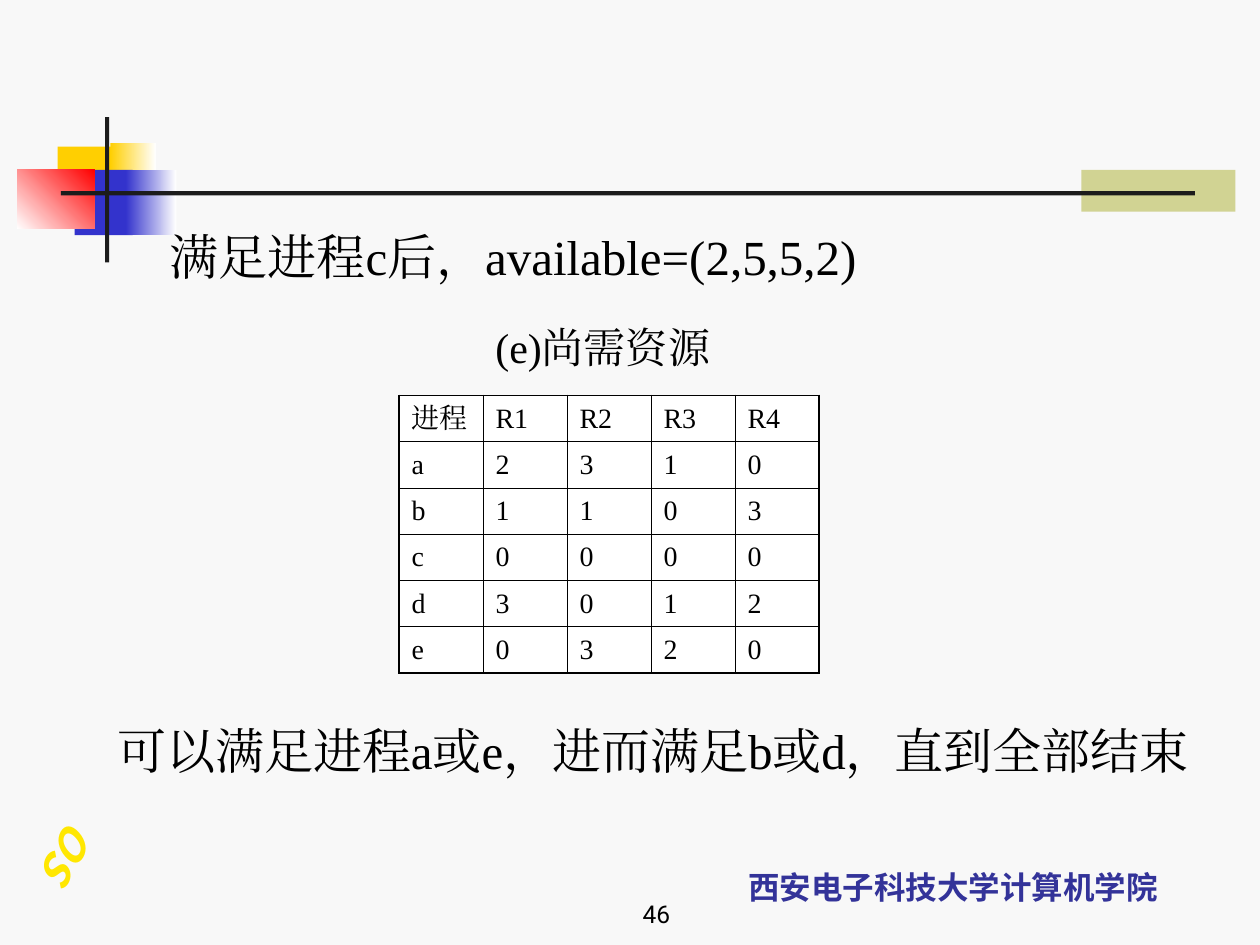
from lxml import etree
from pptx import Presentation
from pptx.dml.color import RGBColor
from pptx.enum.shapes import MSO_SHAPE
from pptx.enum.text import MSO_ANCHOR, PP_ALIGN
from pptx.oxml.ns import qn
from pptx.util import Pt

RECT = MSO_SHAPE.RECTANGLE
TOP, MIDDLE, BOTTOM = MSO_ANCHOR.TOP, MSO_ANCHOR.MIDDLE, MSO_ANCHOR.BOTTOM
LEFT, CENTER, RIGHT = PP_ALIGN.LEFT, PP_ALIGN.CENTER, PP_ALIGN.RIGHT
SERIF, SANS, ROBOTO = "Times New Roman", "Noto Sans CJK SC", "Roboto"
BLACK, WHITE, DARK = "000000", "FFFFFF", "1C1C1C"
GOLD, BLUE, RED = "FFCF01", "3333CC", "FF0000"


def paint(fill, *shades):
    """Fill with one colour, or with a gradient between two."""
    if len(shades) == 1:
        fill.solid()
        fill.fore_color.rgb = RGBColor.from_string(shades[0])
        return
    fill.gradient()
    for stop, shade in zip(fill.gradient_stops, shades):
        stop.color.rgb = RGBColor.from_string(shade)


def write(frame, text, size, face=SERIF, shade=BLACK, align=LEFT, bold=False):
    para = frame.paragraphs[0]
    para.text = text
    para.alignment = align
    font = para.font
    font.size, font.name, font.bold = Pt(size), face, bold
    paint(font.fill, shade)
    props = para._p.pPr.find(qn("a:defRPr"))
    etree.SubElement(props, qn("a:ea"), typeface=face)


prs = Presentation()
prs.slide_width, prs.slide_height = Pt(720), Pt(540)
slide = prs.slides.add_slide(prs.slide_layouts[6])
shapes = slide.shapes
paint(slide.background.fill, "F8F8F8")

# Blocks and bars of the heading ornament
blocks = [
    (618, 97, 88, 24, ["D1D393"], 0),
    (33, 83.8, 34.6, 37.4, [GOLD], 0),
    (63, 81.6, 26, 37.4, [GOLD, WHITE], 0),
    (42.6, 97, 33.2, 37.4, [BLUE], 0),
    (72, 97, 28.8, 37.4, [BLUE, WHITE], 0),
    (9.8, 96.8, 44.2, 34, [WHITE, RED], 45),
    (60, 67, 2.4, 83, [DARK], 0),
    (34.8, 109.2, 648, 2.4, [DARK], 0),
]
for x, y, w, h, shades, angle in blocks:
    block = shapes.add_shape(RECT, Pt(x), Pt(y), Pt(w), Pt(h))
    block.shadow.inherit = False
    block.line.fill.background()
    paint(block.fill, *shades)
    if len(shades) > 1:
        block.fill.gradient_angle = angle

# Body text and footer
texts = [
    (90, 126, 600, 41, TOP, "满足进程c后，available=(2,5,5,2)", 28, {}),
    (276, 180, 216, 36, TOP, "(e)尚需资源", 24, {}),
    (60, 408, 630, 75, TOP,
     "可以满足进程a或e，进而满足b或d，直到全部结束", 28, {}),
    (382.5, 479.5, 324, 41.5, BOTTOM, "西安电子科技大学计算机学院", 18,
     dict(face=SANS, shade="333399", align=CENTER, bold=True)),
    (240, 498, 150, 36, BOTTOM, "46", 14, dict(face=ROBOTO, align=RIGHT)),
]
for x, y, w, h, anchor, text, size, look in texts:
    frame = shapes.add_textbox(Pt(x), Pt(y), Pt(w), Pt(h)).text_frame
    frame.word_wrap = True
    frame.vertical_anchor = anchor
    write(frame, text, size, **look)

# Tilted vertical mark
mark = shapes.add_textbox(Pt(13), Pt(462), Pt(47.5), Pt(61))
mark.rotation = 29.3
frame = mark.text_frame
frame.word_wrap = False
frame.vertical_anchor = MIDDLE
frame.margin_left = frame.margin_right = Pt(3.6)
frame.margin_top = frame.margin_bottom = Pt(7.2)
frame._txBody.bodyPr.set("vert", "eaVert")
write(frame, "OS", 24, SANS, "FFE701", bold=True)
frame.paragraphs[0].font.italic = True

# Resources still needed
needs = [
    ["进程", "R1", "R2", "R3", "R4"],
    ["a", "2", "3", "1", "0"],
    ["b", "1", "1", "0", "3"],
    ["c", "0", "0", "0", "0"],
    ["d", "3", "0", "1", "2"],
    ["e", "0", "3", "2", "0"],
]
rows, cols = len(needs), len(needs[0])
table = shapes.add_table(rows, cols, Pt(228), Pt(226), Pt(240), Pt(158.4)).table
table.first_row = table.horz_banding = False
for r, line in enumerate(needs):
    for c, text in enumerate(line):
        cell = table.cell(r, c)
        cell.vertical_anchor = MIDDLE
        write(cell.text_frame, text, 16)
        outer = {"L": c == 0, "R": c == cols - 1, "T": r == 0, "B": r == rows - 1}
        for side, edge in outer.items():
            width = Pt(1.08 if edge else 0.45)
            rule = etree.SubElement(cell._tc.get_or_add_tcPr(),
                                    qn("a:ln" + side), w=str(width))
            solid = etree.SubElement(rule, qn("a:solidFill"))
            etree.SubElement(solid, qn("a:srgbClr"), val=BLACK)
        paint(cell.fill, WHITE)

prs.save("out.pptx")
